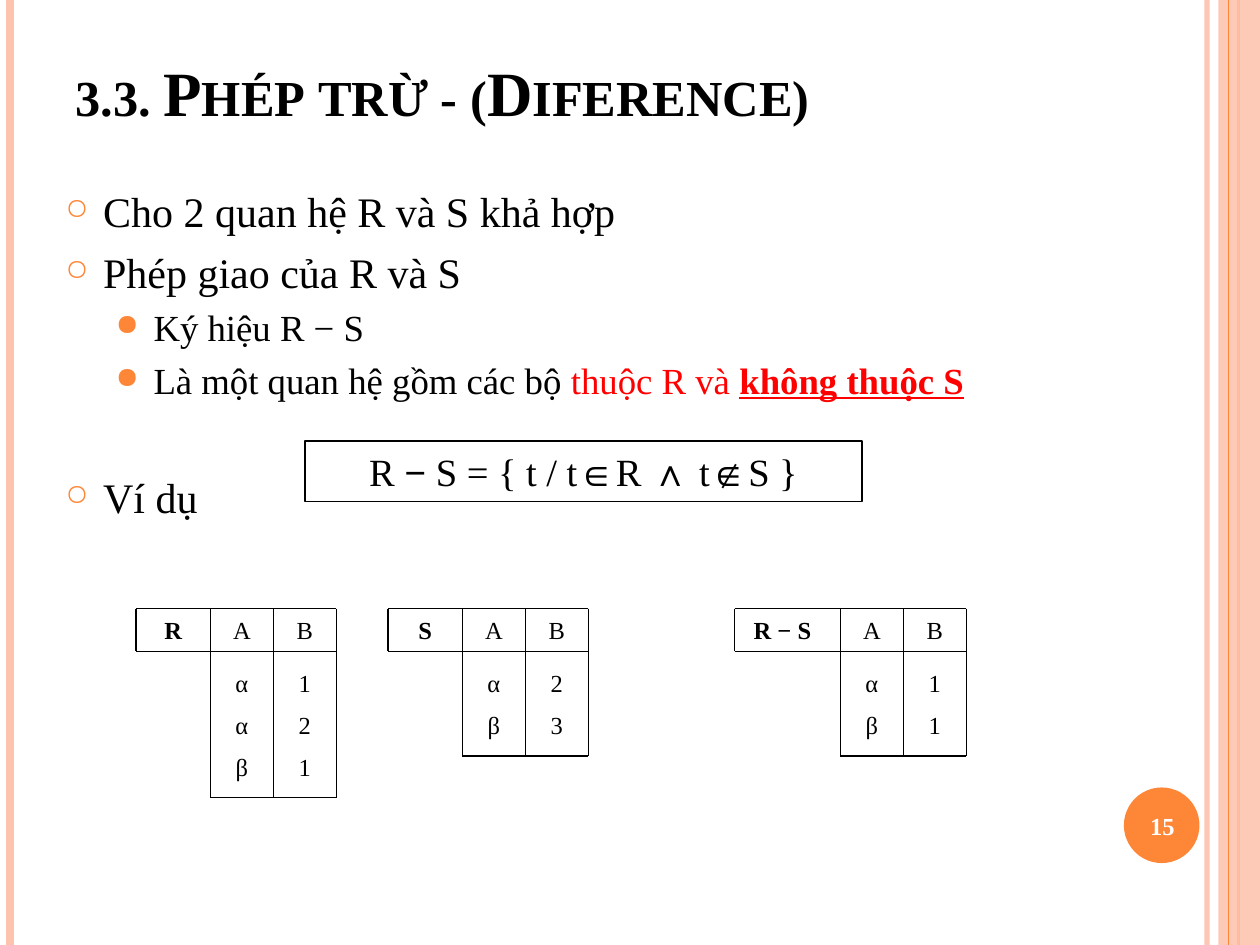
from dataclasses import dataclass

from lxml import etree
from pptx import Presentation
from pptx import util as u
from pptx.dml.color import RGBColor
from pptx.enum import shapes, text
from pptx.oxml import ns


@dataclass(frozen=True)
class Theme:
    font: str = "Times New Roman"
    ink: str = "000000"
    accent: str = "FE8637"
    tint: str = "FEC3AE"
    alert: str = "FF0000"
    paper: str = "FFFFFF"
    title: int = 36
    body: int = 24
    formula: int = 22
    detail: int = 21
    cell: int = 14


theme = Theme()


def draw_line(canvas, start, end, color=theme.ink, width=1):
    rule = canvas.add_connector(
        shapes.MSO_CONNECTOR.STRAIGHT, *(u.Inches(v) for v in start + end))
    rule.line.color.rgb = RGBColor.from_string(color)
    rule.line.width = u.Pt(width)
    etree.SubElement(rule._element.spPr, ns.qn("a:effectLst"))
    return rule


def write_runs(paragraph, runs, size, color=theme.ink):
    for words, look in runs:
        run = paragraph.add_run()
        run.text = words
        values = {"name": theme.font, "size": u.Pt(size), "bold": False, **look}
        run.font.color.rgb = RGBColor.from_string(values.pop("color", color))
        for key, value in values.items():
            setattr(run.font, key, value)


deck = Presentation()
deck.slide_width, deck.slide_height = u.Inches(10), u.Inches(7.5)
slide = deck.slides.add_slide(deck.slide_layouts[6])
canvas = slide.shapes

soft_stripe = draw_line(canvas, (9.58, 0), (9.58, 7.5), theme.tint, 3)
draw_line(canvas, (0.08, 0), (0.08, 7.5), theme.tint, 4.5)
draw_line(canvas, (9.83, 0), (9.83, 7.5), theme.accent, 1.5)
side_band = canvas.add_shape(
    shapes.MSO_SHAPE.RECTANGLE, u.Inches(9.67), 0, u.Inches(0.33), u.Inches(7.5))
draw_line(canvas, (9.75, 0), (9.75, 7.5), theme.accent, 0.75)
number_disc = canvas.add_shape(
    shapes.MSO_SHAPE.OVAL, *(u.Inches(v) for v in (8.92, 6.25, 0.6, 0.6)))
for decor, color in ((side_band, theme.tint), (number_disc, theme.accent)):
    decor.shadow.inherit = False
    decor.fill.solid()
    decor.fill.fore_color.rgb = RGBColor.from_string(color)
    decor.line.fill.background()
for decor, opacity in ((soft_stripe, 93), (side_band, 87)):
    tone = next(decor._element.spPr.iter(ns.qn("a:srgbClr")))
    etree.SubElement(tone, ns.qn("a:alpha"), val=str(opacity * 1000))

heading = canvas.add_textbox(*(u.Inches(v) for v in (0.5, 0.39, 9, 0.68))).text_frame
heading.word_wrap = True
heading.vertical_anchor = text.MSO_ANCHOR.BOTTOM
write_runs(heading.paragraphs[0], [("3.3. Phép trừ - (Diference)", {"bold": True})],
           theme.title)
heading.paragraphs[0].runs[0].font._element.set("cap", "small")

levels = (
    {"size": theme.body, "margin": 0.3, "bullet": "○", "scale": 70},
    {"size": theme.detail, "margin": 0.7, "bullet": "●", "scale": 80},
)
points = (
    (0, 0, [("Cho 2 quan hệ R và S khả hợp", {})]),
    (0, 6, [("Phép giao của R và S", {})]),
    (1, 4.8, [("Ký hiệu R − S", {})]),
    (1, 4.8, [("Là một quan hệ gồm các bộ ", {}),
              ("thuộc R và ", {"color": theme.alert}),
              ("không thuộc S",
               {"color": theme.alert, "bold": True, "underline": True})]),
    (0, 40, [("Ví dụ", {})]),
)
outline = canvas.add_textbox(
    *(u.Inches(v) for v in (0.42, 1.42, 9.08, 5.58))).text_frame
outline.word_wrap = True
for order, (depth, gap, runs) in enumerate(points):
    point = outline.add_paragraph() if order else outline.paragraphs[0]
    level = levels[depth]
    point.level = depth
    point.space_before = u.Pt(gap)
    props = point._p.get_or_add_pPr()
    props.set("marL", str(u.Inches(level["margin"])))
    props.set("indent", str(u.Inches(-0.3)))
    bullet_color = etree.SubElement(props, ns.qn("a:buClr"))
    etree.SubElement(bullet_color, ns.qn("a:srgbClr"), val=theme.accent)
    etree.SubElement(props, ns.qn("a:buSzPct"), val=str(level["scale"] * 1000))
    etree.SubElement(props, ns.qn("a:buChar"), char=level["bullet"])
    write_runs(point, runs, level["size"])

formula = canvas.add_shape(
    shapes.MSO_SHAPE.RECTANGLE, *(u.Inches(v) for v in (2.42, 3.5, 4.42, 0.48)))
formula.shadow.inherit = False
formula.fill.background()
formula.line.color.rgb = RGBColor.from_string(theme.ink)
formula.line.width = u.Pt(1)
formula.text_frame.word_wrap = True
definition = formula.text_frame.paragraphs[0]
definition.alignment = text.PP_ALIGN.CENTER
pieces = ("R ", "− ", "S = { t / t", "∈", "R ", "∧ ", "t", "∉", "S }")
write_runs(definition, [(piece, {"bold": order % 2 == 1})
                        for order, piece in enumerate(pieces)], theme.formula)

top, row, column, first_tuple = 4.83, 0.33, 0.5, 5.25
header_bottom = 5.17
relations = (
    ("R", 1.08, 1.08, 1.67, 6.33, ("α1", "α2", "β1")),
    ("S", 3.08, 3.08, 3.67, 6, ("α2", "β3")),
    ("R − S", 5.83, 5.75, 6.67, 6, ("α1", "β1")),
)
for name, left, name_left, grid_left, bottom, tuples in relations:
    relation = canvas.add_group_shape().shapes
    right = grid_left + 2 * column
    for y, x in ((top, left), (header_bottom, left), (bottom, grid_left)):
        draw_line(relation, (x, y), (right, y))
    draw_line(relation, (left, top), (left, header_bottom))
    for edge in range(3):
        x = grid_left + edge * column
        draw_line(relation, (x, top), (x, bottom))

    cells = [(name, name_left, top, grid_left - name_left, True)]
    tops = [top] + [first_tuple + order / 3 for order in range(len(tuples))]
    for y, values in zip(tops, ("AB",) + tuples):
        for order, value in enumerate(values):
            cells.append((value, grid_left + order * column, y, column, False))
    for value, x, y, width, bold in cells:
        cell = relation.add_textbox(
            *(u.Inches(v) for v in (x, y, width, row))).text_frame
        cell.word_wrap = True
        cell.paragraphs[0].alignment = text.PP_ALIGN.CENTER
        write_runs(cell.paragraphs[0], [(value, {"bold": bold})], theme.cell)

page_number = canvas.add_textbox(
    *(u.Inches(v) for v in (8.89, 6.27, 0.67, 0.57))).text_frame
page_number.word_wrap = True
page_number.vertical_anchor = text.MSO_ANCHOR.MIDDLE
page_number.paragraphs[0].alignment = text.PP_ALIGN.CENTER
write_runs(page_number.paragraphs[0], [("15", {"bold": True})], theme.cell, theme.paper)

deck.save("out.pptx")
